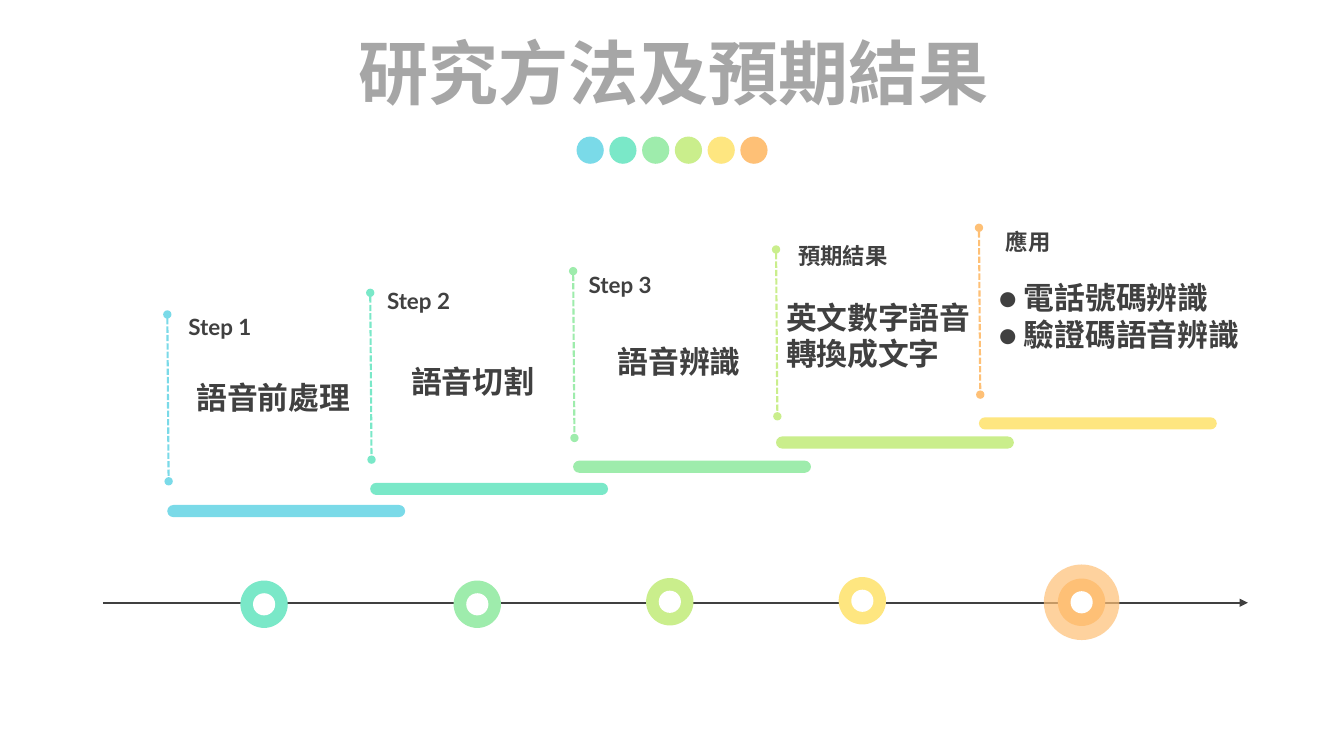
from dataclasses import dataclass
from typing import Optional

from lxml.etree import SubElement
from pptx import Presentation
from pptx.dml.color import RGBColor
from pptx.enum.dml import MSO_LINE_DASH_STYLE as Dash
from pptx.enum.shapes import MSO_CONNECTOR_TYPE as Connector
from pptx.enum.shapes import MSO_AUTO_SHAPE_TYPE as Preset
from pptx.enum.text import MSO_ANCHOR as Anchor
from pptx.enum.text import MSO_AUTO_SIZE as AutoSize
from pptx.enum.text import PP_ALIGN as Align
from pptx.oxml.ns import qn
from pptx.shapes.autoshape import Shape
from pptx.util import Inches, Pt

CELL = 0.1
COLUMNS, ROWS = 133.33, 75
LATIN, CHINESE = "Lato", "Noto Sans CJK SC"
COLORS = {
    "blue": "7ADAE8",
    "teal": "7AE8C8",
    "green": "9EECAC",
    "lime": "CAEE8C",
    "yellow": "FEE680",
    "orange": "FEC076",
    "white": "FFFFFF",
    "dark": "404040",
    "gray": "A6A6A6",
}
PALETTE = ["blue", "teal", "green", "lime", "yellow", "orange"]


@dataclass
class TextBlock:
    column: float
    row: float
    width: float
    height: float
    lines: list[str]
    size: float
    font: str = CHINESE
    color: str = "dark"
    inset: float = 1
    bulleted: bool = False


@dataclass
class Step:
    bar_row: float
    bar_color: str
    pole_color: str
    label: TextBlock
    body: TextBlock


@dataclass
class Marker:
    column: float
    row: float
    color: str
    halo: bool = False


def label(column: float, row: float, text: str, font: str = CHINESE) -> TextBlock:
    return TextBlock(column, row, 17.3, 3.7, [text], 16, font, inset=1.2)


def body(column: float, row: float, width: float, height: float,
         *lines: str, bulleted: bool = False) -> TextBlock:
    return TextBlock(column, row, width, height, list(lines), 22, bulleted=bulleted)


TITLE = TextBlock(3.5, 3.7, 126.6, 7.9, ["研究方法及預期結果"], 50, color="gray")
STEPS = [
    Step(50.1, "blue", "blue", label(17.5, 30.6, "Step 1", LATIN),
         body(18.5, 37.1, 17.7, 4.7, "語音前處理")),
    Step(47.9, "teal", "teal", label(37.2, 28, "Step 2", LATIN),
         body(39.8, 35.5, 17.2, 4.7, "語音切割")),
    Step(45.7, "green", "green", label(57.2, 26.4, "Step 3", LATIN),
         body(60.3, 33.5, 17.2, 4.7, "語音辨識")),
    Step(43.3, "lime", "lime", label(78, 23.5, "預期結果"),
         body(77, 29.1, 21.6, 8.4, "英文數字語音轉換成文字")),
    Step(41.4, "yellow", "orange", label(98.6, 22.1, "應用"),
         body(98.1, 27.2, 26.6, 8.4, "電話號碼辨識", "驗證碼語音辨識", bulleted=True)),
]
MARKERS = [
    Marker(26.2, 59.95, "teal"),
    Marker(47.35, 59.95, "green"),
    Marker(66.45, 59.7, "lime"),
    Marker(85.55, 59.6, "yellow"),
    Marker(107.3, 59.75, "orange", halo=True),
]
FIRST_COLUMN, STEP_PITCH = 16.6, 20.13
POLE_TOP, POLE_RISE, POLE_LENGTH, POLE_LEAN = 31.2, 2.15, 16.55, 0.13

deck = Presentation()


def grid(cells: float) -> Inches:
    return Inches(cells * CELL)


deck.slide_width, deck.slide_height = grid(COLUMNS), grid(ROWS)
page = deck.slides.add_slide(deck.slide_layouts[6])


def add_solid(preset: Preset, column: float, row: float, width: float,
              height: float, color: str) -> Shape:
    shape = page.shapes.add_shape(preset, grid(column), grid(row), grid(width), grid(height))
    shape.shadow.inherit = False
    shape.fill.solid()
    shape.fill.fore_color.rgb = RGBColor.from_string(COLORS[color])
    shape.line.fill.background()
    return shape


def add_disc(column: float, row: float, diameter: float, color: str) -> Shape:
    radius = diameter / 2
    return add_solid(Preset.OVAL, column - radius, row - radius, diameter, diameter, color)


def add_line(start: tuple[float, float], end: tuple[float, float], color: str,
             weight: float, tail: str, head: Optional[str] = None,
             dash: Optional[Dash] = None) -> None:
    connector = page.shapes.add_connector(Connector.STRAIGHT, *map(grid, start + end))
    connector.line.color.rgb = RGBColor.from_string(COLORS[color])
    connector.line.width = Pt(weight)
    if dash is not None:
        connector.line.dash_style = dash
    outline = connector.line._get_or_add_ln()
    if head:
        SubElement(outline, qn("a:headEnd"), type=head)
    SubElement(outline, qn("a:tailEnd"), type=tail)
    SubElement(connector._element.spPr, qn("a:effectLst"))


def add_text(block: TextBlock) -> Shape:
    box = page.shapes.add_textbox(grid(block.column), grid(block.row),
                                  grid(block.width), grid(block.height))
    frame = box.text_frame
    frame.word_wrap = True
    frame.auto_size = AutoSize.SHAPE_TO_FIT_TEXT
    frame.margin_left = frame.margin_right = grid(block.inset)
    frame.text = "\n".join(block.lines)
    for para in frame.paragraphs:
        for span in para.runs:
            span.font.size = Pt(block.size)
            span.font.bold = True
            span.font.name = block.font
            span.font.color.rgb = RGBColor.from_string(COLORS[block.color])
            SubElement(span._r.get_or_add_rPr(), qn("a:ea"), typeface=block.font)
        if block.bulleted:
            properties = para._p.get_or_add_pPr()
            properties.set("marL", str(grid(2.5)))
            properties.set("indent", str(-grid(2.5)))
            SubElement(properties, qn("a:buFont"), typeface="Lato")
            SubElement(properties, qn("a:buChar"), char="●")
    return box


def add_title(block: TextBlock) -> None:
    frame = add_text(block).text_frame
    frame.auto_size = AutoSize.NONE
    frame.vertical_anchor = Anchor.MIDDLE
    para = frame.paragraphs[0]
    para.alignment = Align.CENTER
    para.line_spacing = 0.9
    para.space_before = Pt(10)


def add_marker(marker: Marker) -> None:
    if marker.halo:
        halo = add_disc(marker.column, marker.row, 7.5, marker.color)
        tint = halo._element.spPr.find(f"{qn('a:solidFill')}/{qn('a:srgbClr')}")
        SubElement(tint, qn("a:alpha"), val="70000")
    add_disc(marker.column, marker.row, 4.7, marker.color)
    add_disc(marker.column, marker.row, 2.2, "white")


def add_step(index: int, step: Step) -> None:
    column = FIRST_COLUMN + index * STEP_PITCH
    top = POLE_TOP - index * POLE_RISE
    bar = add_solid(Preset.ROUNDED_RECTANGLE, column, step.bar_row, 23.6, 1.2, step.bar_color)
    bar.adjustments[0] = 0.5
    add_text(step.body)
    add_text(step.label)
    add_line((column, top), (column + POLE_LEAN, top + POLE_LENGTH), step.pole_color,
             1.5, "oval", "oval", Dash.SQUARE_DOT)


for position, shade in enumerate(PALETTE):
    add_disc(58.55 + position * 3.25, 14.9, 2.7, shade)
add_line((10.2, 59.8), (123.8, 59.8), "dark", 1.75, "triangle")
add_title(TITLE)
for timeline_marker in MARKERS:
    add_marker(timeline_marker)
for order, research_step in enumerate(STEPS):
    add_step(order, research_step)

deck.save("out.pptx")
